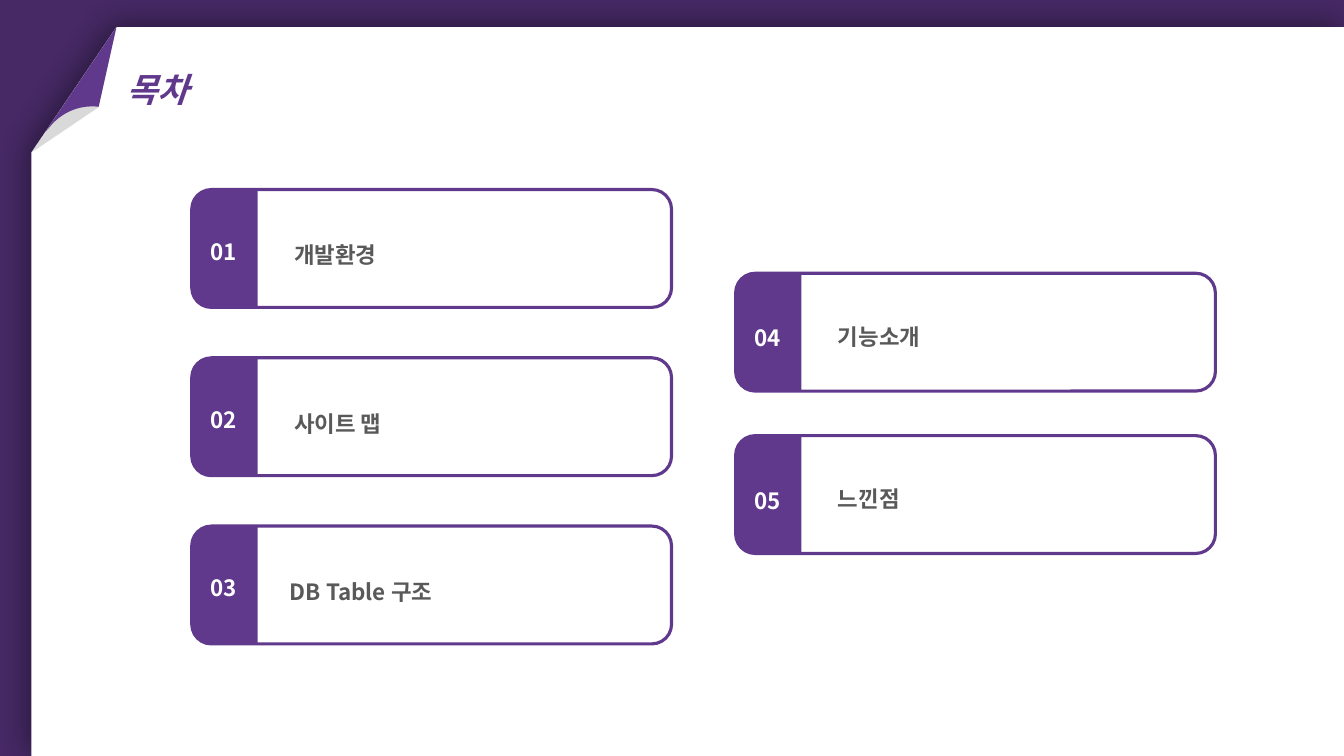
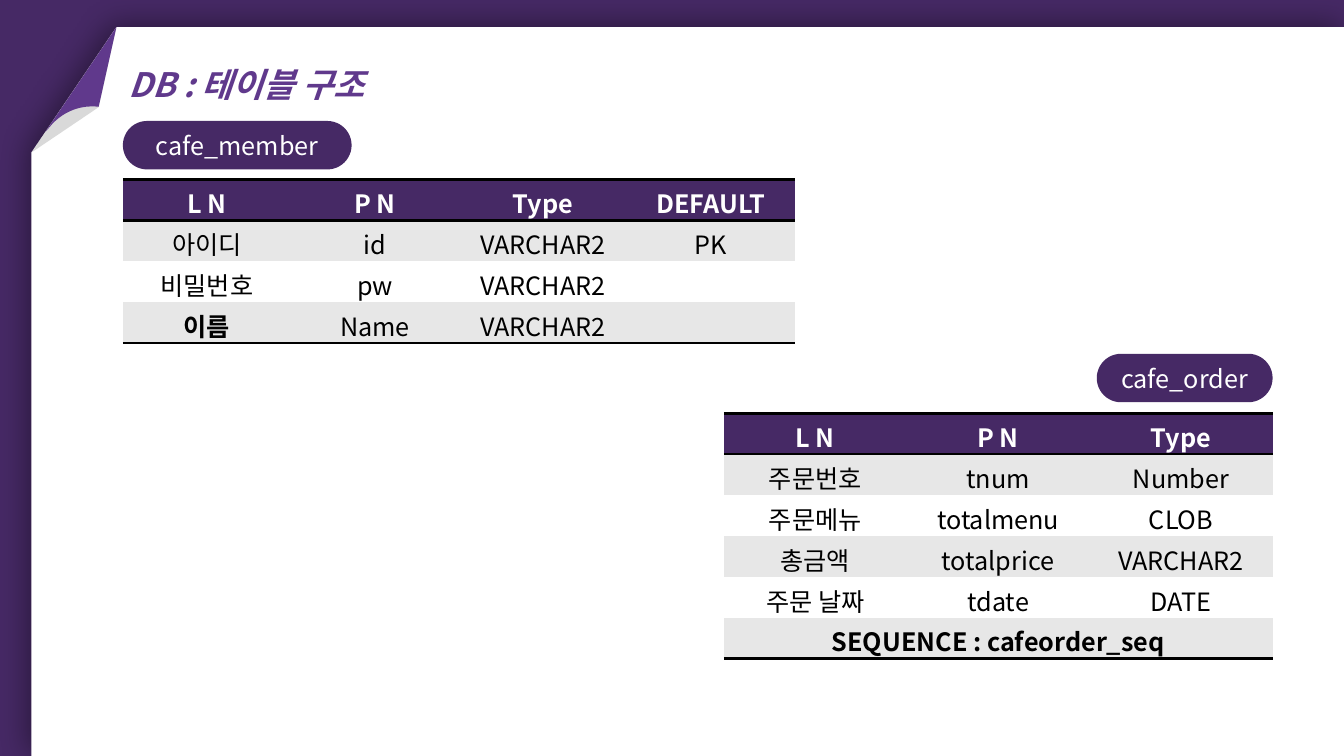
from dataclasses import dataclass

from lxml import etree
from pptx import Presentation
from pptx.dml import color as col
from pptx.enum import shapes as shp, text as txt
from pptx.oxml import ns
from pptx.util import Pt


@dataclass(frozen=True)
class Theme:
    font: str = "Noto Sans CJK KR"
    deep: str = "462965"
    main: str = "60398C"
    white: str = "FFFFFF"
    black: str = "000000"
    grey: str = "595959"
    band: str = "E7E7E7"
    title: int = 24
    body: int = 18
    item: int = 16
    wide: int = 960
    high: int = 540


T = Theme()
KIND = shp.MSO_SHAPE
MID = txt.MSO_ANCHOR.MIDDLE
TOP = txt.MSO_ANCHOR.TOP
CENTER = txt.PP_ALIGN.CENTER
LEFT = txt.PP_ALIGN.LEFT
PLAIN = "{2D5ABB26-0587-4C30-8999-92F81FD0307C}"


# Basics
def rgb(hue):
    return col.RGBColor.from_string(hue)


def sub(node, tag, **attrs):
    return etree.SubElement(node, ns.qn(tag), attrs)


def write(para, words, size, hue, bold=False, slant=False, align=CENTER):
    para.alignment = align
    run = para.add_run()
    run.text = words
    font = run.font
    font.name, font.size = T.font, Pt(size)
    font.bold, font.italic = bold, slant
    font.color.rgb = rgb(hue)
    sub(font._element, "a:ea", typeface=T.font)


def paint(shape, fill, line=None, width=2.25):
    shape.shadow.inherit = False
    shape.fill.solid()
    shape.fill.fore_color.rgb = rgb(fill)
    if line:
        shape.line.color.rgb = rgb(line)
        shape.line.width = Pt(width)
    else:
        shape.line.fill.background()
    return shape


def block(slide, kind, box, fill, line=None):
    return paint(slide.shapes.add_shape(kind, *map(Pt, box)), fill, line)


def label(slide, box, words, size, hue, wrap=True, anchor=TOP, gap=1.0, **look):
    frame = slide.shapes.add_textbox(*map(Pt, box)).text_frame
    frame.word_wrap = wrap
    frame.vertical_anchor = anchor
    frame.paragraphs[0].line_spacing = gap
    write(frame.paragraphs[0], words, size, hue, **look)


def outline(slide, dots, fill):
    dots = [(Pt(x), Pt(y)) for x, y in dots]
    pen = slide.shapes.build_freeform(*dots[0])
    pen.add_line_segments(dots[1:], close=True)
    return paint(pen.convert_to_shape(), fill)


def curve(a, b, c, d, steps=12):
    def mix(t, axis):
        s = 1 - t
        return (s**3 * a[axis] + 3 * s * s * t * b[axis]
                + 3 * s * t * t * c[axis] + t**3 * d[axis])
    return [(mix(i / steps, 0), mix(i / steps, 1)) for i in range(steps + 1)]


# Shared page: sheet, folded corner and title
def sheet(slide):
    tip, foot = (83.2, 19.4), (22.4, 109)
    paper = outline(slide, [tip, (T.wide, 19.4), (T.wide, T.high),
                            (22.4, T.high), foot], T.white)
    glow = paper._element.spPr.find(ns.qn("a:effectLst"))
    cast = sub(glow, "a:outerShdw", blurRad=str(Pt(22)), dist=str(Pt(3)),
               dir=str(225 * 60000), algn="br", rotWithShape="0")
    sub(sub(cast, "a:srgbClr", val=T.black), "a:alpha", val="40000")

    shade = outline(slide, [tip, (70.5, 76.6), foot], T.black)
    hue = shade._element.spPr.find(".//" + ns.qn("a:srgbClr"))
    sub(hue, "a:alpha", val="15000")

    bend = curve((70.5, 76.3), (58.3, 74.9), (46.1, 79.2), (37.4, 88.6))
    outline(slide, [tip, *bend, (32.4, 94.3)], T.main)


def page(deck, words, box):
    slide = deck.slides.add_slide(deck.slide_layouts[6])
    slide.background.fill.solid()
    slide.background.fill.fore_color.rgb = rgb(T.deep)
    sheet(slide)
    label(slide, box, words, T.title, T.main, anchor=MID, gap=0.9,
          bold=True, slant=True)
    return slide


# Contents card, placed from its top left corner
def card(slide, x, y, num, words, lead, drop, low):
    wide, high, tab = 342.7, 84.2, 47
    block(slide, KIND.ROUNDED_RECTANGLE, (x, y, wide, high), T.white, T.main)
    side = block(slide, KIND.ROUND_2_SAME_RECTANGLE,
                 (x + (tab - high) / 2, y + (high - tab) / 2, high, tab), T.main)
    side.rotation = 270
    side.adjustments[0], side.adjustments[1] = 0.33, 0
    label(slide, (x + lead, y + drop, 258, 32.4), words, T.item, T.grey,
          gap=1.5, bold=True, align=LEFT)
    label(slide, (x + 6.5, y + low, 33, 26.6), f"{num:02}", T.item, T.white,
          wrap=False, bold=True, align=LEFT)


def column(slide, x, y, step, first, items, drop, low):
    for i, (words, lead) in enumerate(items):
        card(slide, x, y + i * step, first + i, words, lead, drop, low)


# Database table with its name tag
def tag(slide, box, words):
    pill = block(slide, KIND.ROUNDED_RECTANGLE, box, T.deep)
    pill.adjustments[0] = 0.5
    pill.text_frame.vertical_anchor = MID
    write(pill.text_frame.paragraphs[0], words, T.body, T.white)


def rule(cell, side):
    line = sub(cell._tc.get_or_add_tcPr(), side, w=str(Pt(2)))
    sub(sub(line, "a:solidFill"), "a:srgbClr", val=T.black)


def grid(slide, x, y, wide, rows, strong=()):
    tall, count = 29.2, len(rows[0])
    box = (x, y, wide, tall * len(rows))
    table = slide.shapes.add_table(len(rows), count, *map(Pt, box)).table
    table.first_row = table.horz_banding = False
    table._tbl.tblPr.find(ns.qn("a:tableStyleId")).text = PLAIN
    for part in table.columns:
        part.width = Pt(wide / count)
    for r, row in enumerate(rows):
        table.rows[r].height = Pt(tall)
        if len(row) == 1:
            table.cell(r, 0).merge(table.cell(r, count - 1))
        for c in range(count):
            cell, head = table.cell(r, c), r == 0
            if head:
                rule(cell, "a:lnT")
            if head or r == len(rows) - 1:
                rule(cell, "a:lnB")
            cell.fill.solid()
            cell.fill.fore_color.rgb = rgb(
                T.deep if head else T.band if r % 2 else T.white)
            words = row[c] if c < len(row) else ""
            para = cell.text_frame.paragraphs[0]
            if words:
                write(para, words, T.body, T.white if head else T.black,
                      bold=head or words in strong)
            else:
                para.font.size = Pt(T.body)


# Slides
def index(deck):
    slide = page(deck, "목차", (21, 13, 183, 104.4))
    column(slide, 137, 135.4, 120.2, 1,
           [("개발환경", 66), ("사이트 맵", 66), ("DB Table 구조", 63)], 24, 31)
    column(slide, 525.5, 195.2, 116, 4,
           [("기능소개", 66), ("느낀점", 66)], 22.5, 33)


def tables(deck):
    slide = page(deck, "DB : 테이블 구조", (67.7, 9.4, 216.7, 104.4))
    grid(slide, 517, 295.2, 392, [
        ("L N", "P N", "Type"),
        ("주문번호", "tnum", "Number"),
        ("주문메뉴", "totalmenu", "CLOB"),
        ("총금액", "totalprice", "VARCHAR2"),
        ("주문 날짜", "tdate", "DATE"),
        ("SEQUENCE : cafeorder_seq",),
    ], ["SEQUENCE : cafeorder_seq"])
    grid(slide, 87.8, 128.2, 480, [
        ("L N", "P N", "Type", "DEFAULT"),
        ("아이디", "id", "VARCHAR2", "PK"),
        ("비밀번호", "pw", "VARCHAR2", ""),
        ("이름", "Name", "VARCHAR2", ""),
    ], ["이름"])
    tag(slide, (783.4, 252.7, 125.6, 34.6), "cafe_order")
    tag(slide, (87.8, 86.4, 163.4, 34.6), "cafe_member")


def main():
    deck = Presentation()
    deck.slide_width, deck.slide_height = Pt(T.wide), Pt(T.high)
    index(deck)
    tables(deck)
    deck.save("out.pptx")


if __name__ == "__main__":
    main()
